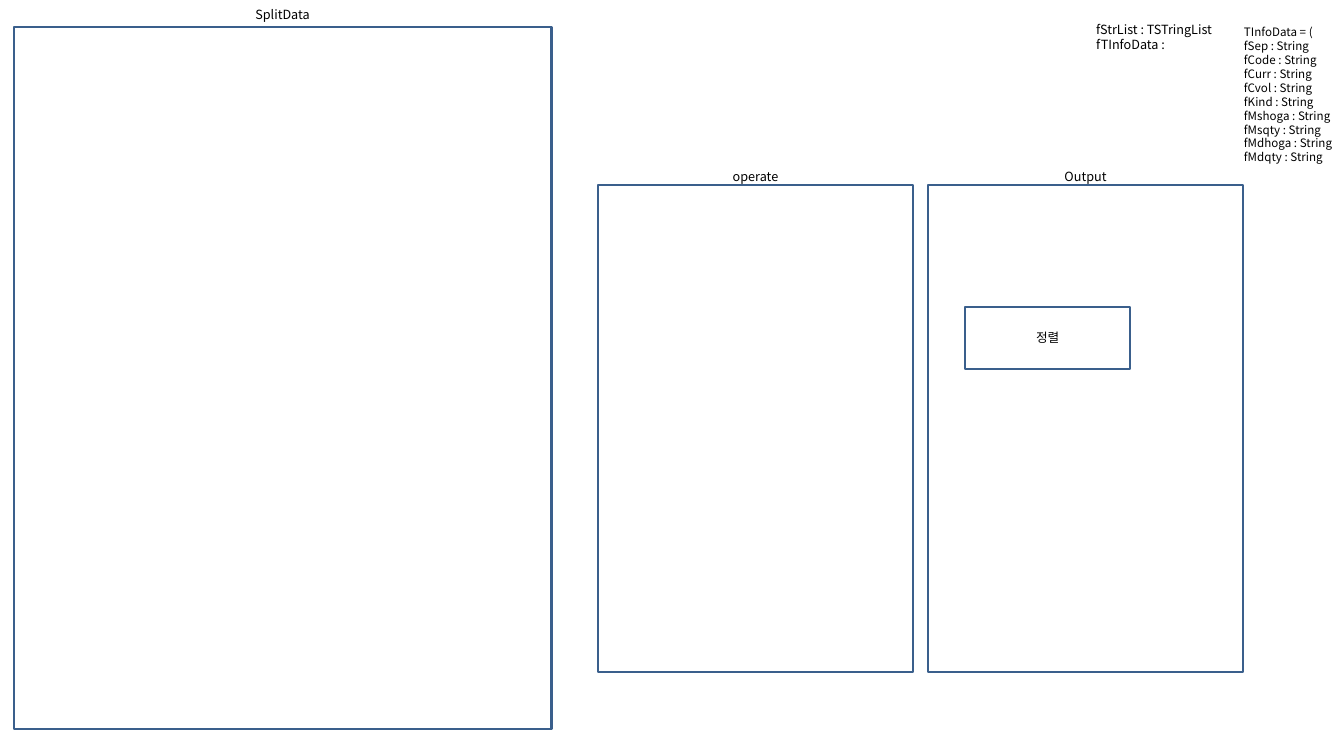
"""Build the data-processing layout slide with its panels and field lists."""
import pptx
import pptx.util
import pptx.dml.color
import pptx.enum.shapes
import pptx.enum.text
import pptx.oxml.ns
import lxml.etree

PANELS = [
    ("operate", (7.88, 2.44, 4.16, 6.41), 0.2, 0.01),
    ("Output", (12.23, 2.44, 4.16, 6.41), 0.2, 0.01),
    ("SplitData", (0.18, 0.36, 7.09, 9.25), 0.29, 0.02),
]
SORT_STEP = ("정렬", (12.72, 4.04, 2.18, 0.82))
VARIABLES = ["fStrList : TSTringList", "fTInfoData :"]
FIELDS = ["Sep", "Code", "Curr", "Cvol", "Kind", "Mshoga", "Msqty", "Mdhoga", "Mdqty"]
RECORD = ["TInfoData = ("] + [f"f{field} : String" for field in FIELDS]

THEME = {
    "font": "Noto Sans CJK KR",
    "ink": pptx.dml.color.RGBColor.from_string("000000"),
    "outline": pptx.dml.color.RGBColor.from_string("3A5F8C"),
    "outline_width": pptx.util.Pt(2),
    "body": 12,
    "small": 11,
    "leading": 1.2,
}
ALIGN = pptx.enum.text.PP_ALIGN
ANCHOR = pptx.enum.text.MSO_ANCHOR
CENTRED = {"margin_left": 0, "margin_right": 0, "margin_top": 0, "margin_bottom": 0,
           "vertical_anchor": ANCHOR.MIDDLE, "word_wrap": True}
LISTED = {"vertical_anchor": ANCHOR.TOP, "word_wrap": True}


def inches(box):
    return [pptx.util.Inches(length) for length in box]


def apply(target, values):
    for name, value in values.items():
        setattr(target, name, value)


def write(frame, lines, size, align, frame_format):
    apply(frame, frame_format)
    frame.text = "\n".join(lines)
    for paragraph in frame.paragraphs:
        apply(paragraph, {"alignment": align,
                          "line_spacing": pptx.util.Pt(size * THEME["leading"])})
        run = paragraph.runs[0]
        apply(run.font, {"size": pptx.util.Pt(size), "name": THEME["font"]})
        run.font.color.rgb = THEME["ink"]
        east_asian = lxml.etree.SubElement(run.font._element, pptx.oxml.ns.qn("a:ea"))
        east_asian.set("typeface", THEME["font"])


def outline(shapes, box):
    frame = shapes.add_shape(pptx.enum.shapes.MSO_SHAPE.RECTANGLE, *inches(box))
    frame.shadow.inherit = False
    frame.fill.background()
    frame.line.color.rgb = THEME["outline"]
    frame.line.width = THEME["outline_width"]
    return frame


def text(shapes, box, *content):
    write(shapes.add_textbox(*inches(box)).text_frame, *content)


def main():
    deck = pptx.Presentation()
    deck.slide_width = pptx.util.Cm(45)
    deck.slide_height = pptx.util.Cm(25)
    shapes = deck.slides.add_slide(deck.slide_layouts[6]).shapes

    for heading, box, heading_height, gap in PANELS:
        panel = shapes.add_group_shape().shapes
        outline(panel, box)
        left, top, width, _ = box
        text(panel, (left, top - gap - heading_height, width, heading_height),
             [heading], THEME["body"], ALIGN.CENTER, CENTRED)

    label, box = SORT_STEP
    write(outline(shapes, box).text_frame, [label], THEME["body"], ALIGN.CENTER, CENTRED)

    text(shapes, (14.35, 0.24, 2.3, 0.71), VARIABLES, THEME["body"], ALIGN.LEFT, LISTED)
    text(shapes, (16.3, 0.28, 1.4, 2.32), RECORD, THEME["small"], ALIGN.LEFT,
         {**LISTED, "word_wrap": False})
    deck.save("out.pptx")


if __name__ == "__main__":
    main()
